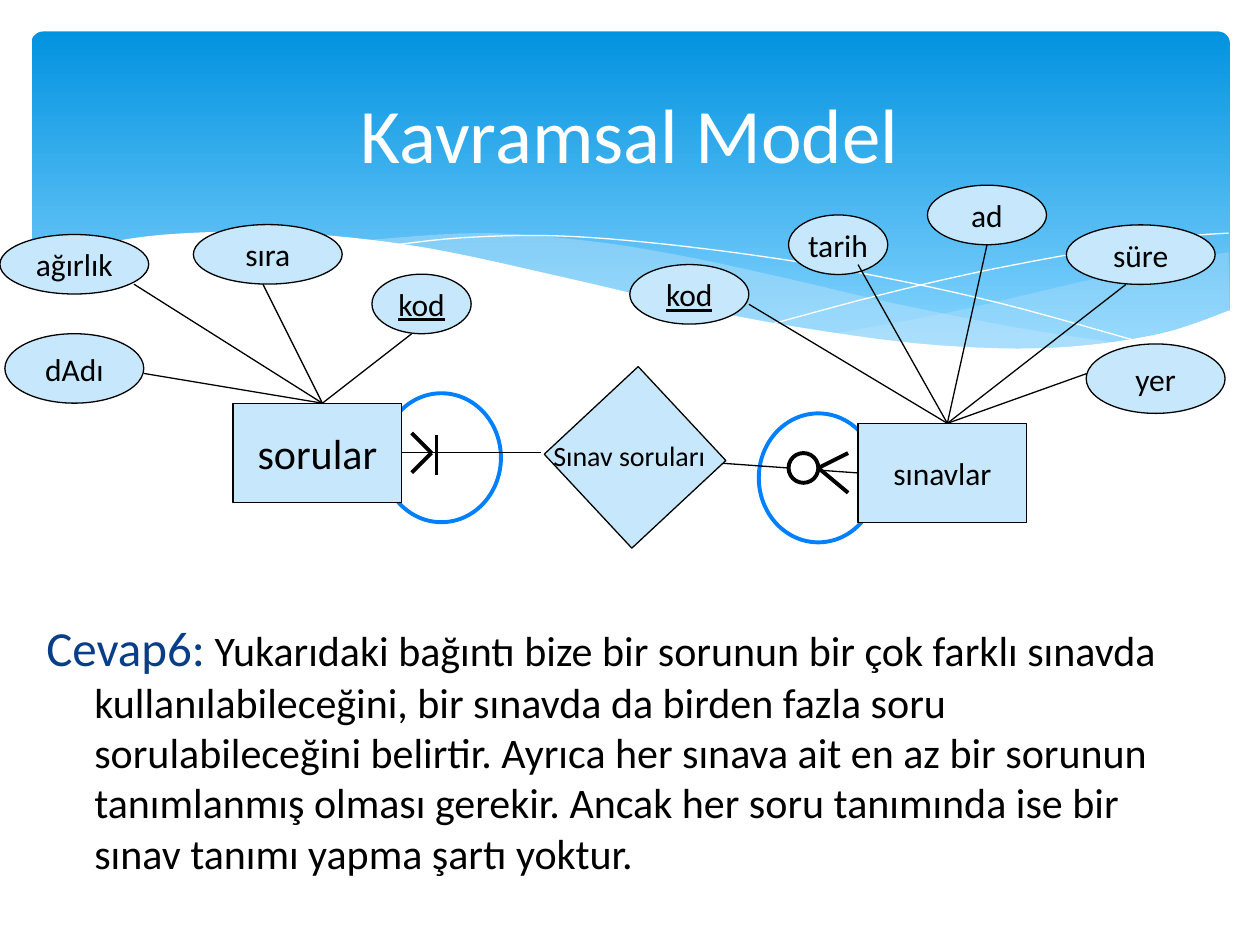
from lxml import etree
from pptx import Presentation
from pptx import util as u
from pptx.dml.color import RGBColor
from pptx.enum import shapes, text
from pptx.oxml.ns import qn

WHITE = RGBColor(0xFF, 0xFF, 0xFF)
BLACK = RGBColor(0, 0, 0)
PALE = RGBColor(0xC6, 0xE7, 0xFC)
RING = RGBColor(0x00, 0x80, 0xFF)
NAVY = RGBColor(0x07, 0x3E, 0x87)
SKY_TOP = RGBColor(0x02, 0x93, 0xE0)
SKY_END = RGBColor(0x83, 0xD3, 0xFE)

FONT = "Calibri"
STEP = u.Cm(0.2)  # grid step of the diagram
KIND = shapes.MSO_SHAPE

# Waves, in inches from the banner's corner: upper edge, then lower edge
RIGHT_WAVE = (
    [(9.5, 1.75), (8.96, 1.85), (8.36, 1.98), (7.28, 2.23), (6.36, 2.4)],
    [(6.36, 2.4), (7.2, 2.5), (7.99, 2.52), (8.72, 2.44), (9.24, 2.32), (9.51, 2.22)])
LONG_WAVE = (
    [(8.68, 2.48), (7.82, 2.35), (6.81, 2.15), (6.04, 1.97), (5.16, 1.78),
     (4.4, 1.66), (3.55, 1.6), (2.61, 1.66)],
    [(2.61, 1.66), (3.37, 1.78), (4.24, 1.97), (5.41, 2.23), (6.25, 2.39),
     (7.11, 2.5), (7.93, 2.53), (8.68, 2.48)])
HAIRLINES = (
    [(2.84, 1.7), (3.38, 1.64), (4.08, 1.62), (4.85, 1.67), (5.83, 1.79),
     (6.7, 1.94), (7.7, 2.16), (8.82, 2.47)],
    [(5.88, 2.32), (6.7, 2.1), (7.51, 1.91), (8.41, 1.74), (9.13, 1.63), (9.5, 1.6)])
WHITE_WAVE = (
    [(-0.02, 1.88), (0.21, 1.78), (0.81, 1.64), (1.52, 1.59), (2.25, 1.61),
     (3.15, 1.72), (4.22, 1.95), (5.3, 2.2), (6.23, 2.37), (7.19, 2.49),
     (8.12, 2.51), (8.95, 2.4), (9.52, 2.21)],
    [(9.52, 3.04), (-0.02, 3.04)])

# Attributes: label, oval (column, row, width, height), line start, underlined;
# measured in grid steps from the entity's top left corner
QUESTION_ATTRIBUTES = [
    ("kod", (14, -13, 10, 6), (18, -7), True),
    ("ağırlık", (-23.5, -17, 15, 6), (-10, -12), False),
    ("dAdı", (-23, -7, 14, 7), (-9, -3), False),
    ("sıra", (-4, -18, 15, 6), (3, -12), False)]
EXAM_ATTRIBUTES = [
    ("tarih", (-7, -21, 10, 6), (0, -16), False),
    ("ad", (7, -24, 12, 6), (13, -18), False),
    ("süre", (21, -20, 15, 6), (27, -14), False),
    ("yer", (23, -8, 14, 7), (23, -5), False),
    ("kod", (-23, -16, 12, 6), (-11, -12), True)]


def spline(points, cuts=6):
    """Points along a smooth curve through the given ones."""
    ends = [points[0], *points, points[-1]]
    curve = []
    for a, b, c, d in zip(ends, ends[1:], ends[2:], ends[3:]):
        for t in (i / cuts for i in range(cuts)):
            curve.append(tuple(
                q + t * (r - p) / 2 + t * t * (p - 2.5 * q + 2 * r - s / 2)
                + t ** 3 * (3 * (q - r) + s - p) / 2
                for p, q, r, s in zip(a, b, c, d)))
    return curve + [points[-1]]


def outline(slide, origin, points, closed=True, opacity=None):
    placed = [(origin[0] + u.Inches(x), origin[1] + u.Inches(y)) for x, y in points]
    builder = slide.shapes.build_freeform(*placed[0])
    builder.add_line_segments(placed[1:], close=closed)
    wave = builder.convert_to_shape()
    wave.shadow.inherit = False
    if not closed:
        wave.fill.background()
        wave.line.color.rgb = WHITE
        wave.line.width = u.Pt(0)
        return
    wave.line.fill.background()
    wave.fill.solid()
    wave.fill.fore_color.rgb = PALE if opacity else WHITE
    if opacity:
        colour = wave._element.spPr.find(".//" + qn("a:srgbClr"))
        etree.SubElement(colour, qn("a:alpha")).set("val", str(opacity * 1000))


def banner(slide, left, top, width, height):
    sky = slide.shapes.add_shape(KIND.ROUNDED_RECTANGLE, left, top, width, height)
    sky.adjustments[0] = 0.034
    sky.shadow.inherit = False
    sky.line.fill.background()
    sky.fill.gradient()
    sky.fill.gradient_angle = 270
    for stop, place, colour in zip(sky.fill.gradient_stops, (0, 0.9), (SKY_TOP, SKY_END)):
        stop.position, stop.color.rgb = place, colour
    origin = left, top
    for (upper, lower), opacity in ((RIGHT_WAVE, 29), (LONG_WAVE, 40)):
        outline(slide, origin, spline(upper) + spline(lower), opacity=opacity)
    for hairline in HAIRLINES:
        outline(slide, origin, spline(hairline), closed=False)
    edge, corners = WHITE_WAVE
    outline(slide, origin, spline(edge) + corners)


def node(slide, kind, box, label="", size=18, underline=None,
         fill=PALE, line=BLACK, weight=0.75):
    part = slide.shapes.add_shape(kind, *map(int, box))
    part.shadow.inherit = False
    part.fill.solid()
    part.fill.fore_color.rgb = fill
    part.line.color.rgb = line
    part.line.width = u.Pt(weight)
    if label:
        frame = part.text_frame
        frame.word_wrap = False
        frame.vertical_anchor = text.MSO_ANCHOR.MIDDLE
        write(frame.paragraphs[0], label, size, BLACK, text.PP_ALIGN.CENTER, underline)
    return part


def write(paragraph, words, size, colour, align=None, underline=None):
    paragraph.text = words
    paragraph.alignment = align
    font = paragraph.font
    font.name, font.size, font.underline = FONT, u.Pt(size), underline
    font.color.rgb = colour


def stroke(slide, start, end, weight=0.75):
    line = slide.shapes.add_connector(
        shapes.MSO_CONNECTOR.STRAIGHT, *map(int, (*start, *end)))
    line.line.color.rgb = BLACK
    line.line.width = u.Pt(weight)
    etree.SubElement(line._element.spPr, qn("a:effectLst"))
    return line


def entity(slide, left, top, label, size, attributes, ring_column, link_side, link_end, marks):
    """An entity with its attributes, link line and cardinality marks."""
    def at(column, row):
        return left + column * STEP, top + row * STEP

    def cell(column, row, width, height):
        return *at(column, row), width * STEP, height * STEP

    node(slide, KIND.OVAL, cell(ring_column, -1, 12, 13), fill=WHITE, line=RING, weight=2.25)
    box = node(slide, KIND.RECTANGLE, cell(0, 0, 17, 10), label, size)
    for name, oval, start, underline in attributes:
        node(slide, KIND.OVAL, cell(*oval), name, underline=underline)
        stroke(slide, at(*start), at(9, 0))
    link = stroke(slide, at(0, 5), at(*link_end))
    link.begin_connect(box, link_side)
    # Crow's foot notation: a circle has one corner, a stroke has two ends
    for first, *rest in marks:
        if rest:
            stroke(slide, at(*first), at(*rest[0]), 2.25)
        else:
            node(slide, KIND.OVAL, cell(*first, 3, 3), fill=WHITE, weight=2.25)


def relationship(slide, left, top, side, label):
    diamond = node(slide, KIND.RECTANGLE, (left, top, side, side))
    diamond.rotation = 317
    caption = slide.shapes.add_textbox(
        left - 3 * STEP, top + 4 * STEP, 20 * STEP, u.Inches(0.37)).text_frame
    caption.word_wrap = False
    caption.auto_size = text.MSO_AUTO_SIZE.SHAPE_TO_FIT_TEXT
    write(caption.paragraphs[0], label, 16, BLACK)


def heading(slide, left, top, width, height, words):
    frame = slide.shapes.add_textbox(left, top, width, height).text_frame
    frame.word_wrap = True
    frame.vertical_anchor = text.MSO_ANCHOR.MIDDLE
    write(frame.paragraphs[0], words, 44, WHITE, text.PP_ALIGN.CENTER)


def answer(slide, left, top, width, height, lead, words):
    frame = slide.shapes.add_textbox(left, top, width, height).text_frame
    frame.word_wrap = True
    paragraph = frame.paragraphs[0]
    hang = u.Inches(0.38)
    paragraph._p.get_or_add_pPr().set("marL", str(hang))
    paragraph._p.get_or_add_pPr().set("indent", str(-hang))
    paragraph.font.name = FONT
    for part, size, colour in ((lead, 28, NAVY), (words, 24, BLACK)):
        run = paragraph.add_run()
        run.text = part
        run.font.name, run.font.size = FONT, u.Pt(size)
        run.font.color.rgb = colour


def main():
    deck = Presentation()
    deck.slide_width, deck.slide_height = u.Inches(10), u.Inches(7.5)
    slide = deck.slides.add_slide(deck.slide_layouts[6])
    inch = u.Inches
    banner(slide, inch(0.25), inch(0.25), inch(9.51), inch(2.7))
    heading(slide, inch(0.5), inch(0.37), inch(9), inch(1.37), "Kavramsal Model")
    entity(slide, inch(6.81), inch(3.36), "sınavlar", 18, EXAM_ATTRIBUTES, -10, 1, (-14, 4),
           [[(-7, 3)], [(-4, 4.5), (-1, 3)], [(-4, 4.5), (-1, 7)]])
    entity(slide, inch(1.85), inch(3.2), "sorular", 24, QUESTION_ATTRIBUTES, 15, 3, (31, 5),
           [[(20.5, 3.2), (20.5, 7.2)], [(18, 3), (20, 5)], [(20, 5), (18, 7)]])
    answer(slide, inch(0.27), inch(4.85), inch(9.29), inch(2.28), "Cevap6:",
           " Yukarıdaki bağıntı bize bir sorunun bir çok farklı sınavda kullanılabileceğini, "
           "bir sınavda da birden fazla soru sorulabileceğini belirtir. Ayrıca her sınava ait "
           "en az bir sorunun tanımlanmış olması gerekir. Ancak her soru tanımında ise bir "
           "sınav tanımı yapma şartı yoktur.")
    relationship(slide, inch(4.53), inch(3.12), inch(1.02), "Sınav soruları")
    deck.save("out.pptx")


if __name__ == "__main__":
    main()
